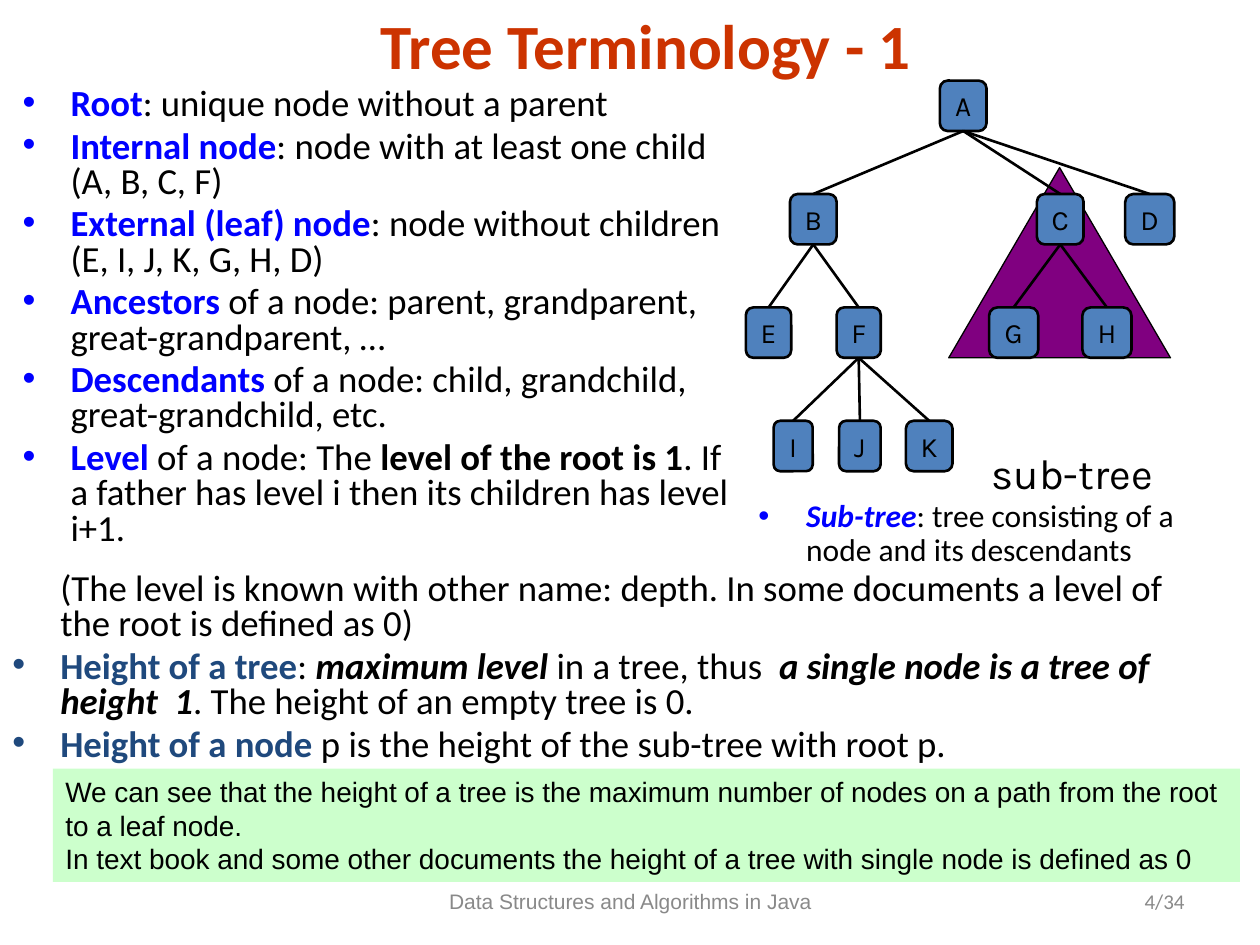
from lxml import etree
from pptx import Presentation
from pptx.dml.color import RGBColor
from pptx.enum.shapes import MSO_CONNECTOR, MSO_SHAPE
from pptx.enum.text import MSO_ANCHOR, MSO_AUTO_SIZE, PP_ALIGN
from pptx.oxml.ns import qn
from pptx.util import Emu, Pt

BLACK = RGBColor(0x00, 0x00, 0x00)
RED = RGBColor(0xCC, 0x33, 0x00)
BLUE = RGBColor(0x00, 0x00, 0xFF)
NAVY = RGBColor(0x1F, 0x49, 0x7D)
GRAY = RGBColor(0x89, 0x89, 0x89)
NODE_BLUE = RGBColor(0x4F, 0x81, 0xBD)
PURPLE = RGBColor(0x80, 0x00, 0x80)
GREEN = RGBColor(0xCC, 0xFF, 0xCC)

PLAIN = {}
BOLD = {"bold": True}
STRONG = {"bold": True, "italic": True}
TERM = {"bold": True, "color": BLUE}
SUBTERM = {"bold": True, "italic": True, "color": BLUE}
HEIGHT_TERM = {"bold": True, "color": NAVY}

TITLE = "Tree Terminology - 1"
TERMS = [
    [("Root", TERM), (": unique node without a parent", PLAIN)],
    [("Internal node", TERM), (": node with at least one child (A, B, C, F)", PLAIN)],
    [("External (leaf) node", TERM),
     (": node without children (E, I, J, K, G, H, D)", PLAIN)],
    [("Ancestors", TERM),
     (" of a node: parent, grandparent, great-grandparent, …", PLAIN)],
    [("Descendants", TERM),
     (" of a node: child, grandchild, great-grandchild, etc.", PLAIN)],
    [("Level", TERM), (" of a node: The ", PLAIN), ("level of the root is 1", BOLD),
     (". If a father has level i then its children has level i+1.", PLAIN)],
]
SUBTREE = [("Sub-tree", SUBTERM),
           (": tree consisting of a node and its descendants", PLAIN)]
DEPTH_NOTE = [("(The level is known with other name: depth. In some documents "
               "a level of the root is defined as 0)", PLAIN)]
HEIGHTS = [
    [("Height of a tree", HEIGHT_TERM), (": ", PLAIN), ("maximum level", STRONG),
     (" in a tree, thus  ", PLAIN), ("a single node is a tree of height  1", STRONG),
     (". The height of an empty tree is 0.", PLAIN)],
    [("Height of a node", HEIGHT_TERM),
     (" p is the height of the sub-tree with root p.", PLAIN)],
]
REMARKS = [
    "We can see that the height of a tree is the maximum number of nodes on a path "
    "from the root to a leaf node.",
    "In text book and some other documents the height of a tree with single node "
    "is defined as 0",
]

# Each level of the tree: node name -> (left, width)
LEVELS = [
    {"A": (746, 37)},
    {"B": (627, 37), "C": (823, 37), "D": (893, 39)},
    {"E": (592, 36), "F": (664, 35), "G": (785, 39), "H": (859, 39)},
    {"I": (614, 31), "J": (666, 33), "K": (719, 37)},
]
CHILDREN = {"A": "BCD", "B": "EF", "C": "GH", "F": "IJK"}
TREE_TOP, LEVEL_STEP, NODE_HEIGHT = 64, 90, 40
HANGING = 38
BOTTOM_SIDE, TOP_SIDE = 2, 0


def px(length):
    """Turn px, 100 to the inch, into EMU."""
    return Emu(length * 9144)


def place(shape, left, top, width, height):
    shape.left, shape.top = px(left), px(top)
    shape.width, shape.height = px(width), px(height)


def add_span(para, text, size, font="Calibri", color=BLACK, bold=False, italic=False):
    span = para.add_run()
    span.text = text
    span.font.size, span.font.name = Pt(size), font
    span.font.bold, span.font.italic = bold, italic
    span.font.color.rgb = color


def next_para(frame):
    """Return the empty first paragraph, or a new one."""
    first = frame.paragraphs[0]
    return frame.add_paragraph() if first.runs else first


def add_item(frame, spans, size, spacing, bullet=True):
    has_items = bool(frame.paragraphs[0].runs)
    para = next_para(frame)
    properties = para._p.get_or_add_pPr()
    properties.set("marL", str(px(HANGING)))
    properties.set("indent", str(px(-HANGING if bullet else 0)))
    if bullet:
        etree.SubElement(properties, qn("a:buFont")).set("typeface", "Arial")
        etree.SubElement(properties, qn("a:buChar")).set("char", "•")
    para.line_spacing = spacing
    para.space_before = Pt(size * 0.2 if has_items else 0)
    for text, style in spans:
        add_span(para, text, size, **style)


def add_box(slide, *area):
    box = slide.shapes.add_textbox(*map(px, area))
    box.text_frame.word_wrap = True
    return box.text_frame


def add_label(slide, area, text, size, font, color, align):
    frame = add_box(slide, *area)
    frame.vertical_anchor = MSO_ANCHOR.MIDDLE
    para = frame.paragraphs[0]
    para.alignment = align
    add_span(para, text, size, font, color)


def add_filled(slide, kind, area, fill, line_width=None):
    shape = slide.shapes.add_shape(kind, *map(px, area))
    shape.shadow.inherit = False
    shape.fill.solid()
    shape.fill.fore_color.rgb = fill
    if line_width:
        shape.line.color.rgb = BLACK
        shape.line.width = Pt(line_width)
    else:
        shape.line.fill.background()
    return shape


def add_tree(slide):
    nodes = {}
    for level, row in enumerate(LEVELS):
        top = TREE_TOP + level * LEVEL_STEP
        for name, (left, width) in row.items():
            node = add_filled(slide, MSO_SHAPE.ROUNDED_RECTANGLE,
                              (left, top, width, NODE_HEIGHT), NODE_BLUE, 1.5)
            frame = node.text_frame
            frame.word_wrap = False
            frame.vertical_anchor = MSO_ANCHOR.MIDDLE
            para = frame.paragraphs[0]
            para.alignment = PP_ALIGN.CENTER
            add_span(para, name, 16, "Karla")
            nodes[name] = node
    for parent, children in CHILDREN.items():
        for child in children:
            edge = slide.shapes.add_connector(MSO_CONNECTOR.STRAIGHT, 0, 0, 0, 0)
            edge.begin_connect(nodes[parent], BOTTOM_SIDE)
            edge.end_connect(nodes[child], TOP_SIDE)
            edge.line.color.rgb = BLACK
            edge.line.width = Pt(1.5)
            etree.SubElement(edge._element.spPr, qn("a:effectLst"))


def main():
    deck = Presentation()
    deck.slide_width, deck.slide_height = px(1000), px(750)
    slide = deck.slides.add_slide(deck.slide_layouts[1])

    title, body = slide.placeholders
    place(title, 200, 0, 625, 70)
    place(body, 8, 65, 592, 382)
    for holder in (title, body):
        holder.text_frame.auto_size = MSO_AUTO_SIZE.NONE
    title.text_frame.vertical_anchor = MSO_ANCHOR.MIDDLE
    add_span(title.text_frame.paragraphs[0], TITLE, 36, color=RED, bold=True)
    for spans in TERMS:
        add_item(body.text_frame, spans, 21, 0.8)

    add_filled(slide, MSO_SHAPE.ISOSCELES_TRIANGLE, (753, 133, 176, 151), PURPLE, 0.75)
    add_tree(slide)
    add_label(slide, (753, 350, 196, 50), "sub-tree", 24, "Karla", BLACK,
              PP_ALIGN.CENTER)
    add_item(add_box(slide, 592, 392, 375, 64), SUBTREE, 18, 0.9)

    heights = add_box(slide, 0, 450, 958, 165)
    add_item(heights, DEPTH_NOTE, 21, 0.8, bullet=False)
    for spans in HEIGHTS:
        add_item(heights, spans, 21, 0.8)

    panel = add_filled(slide, MSO_SHAPE.RECTANGLE, (42, 610, 942, 90), GREEN)
    panel.text_frame.vertical_anchor = MSO_ANCHOR.TOP
    for remark in REMARKS:
        para = next_para(panel.text_frame)
        para.alignment = PP_ALIGN.LEFT
        add_span(para, remark, 16, "Arial")

    add_label(slide, (317, 695, 367, 40), "Data Structures and Algorithms in Java",
              12, "Arial", GRAY, PP_ALIGN.CENTER)
    add_label(slide, (717, 695, 233, 40), "4/34", 12, "Calibri", GRAY, PP_ALIGN.RIGHT)
    deck.save("out.pptx")


if __name__ == "__main__":
    main()
